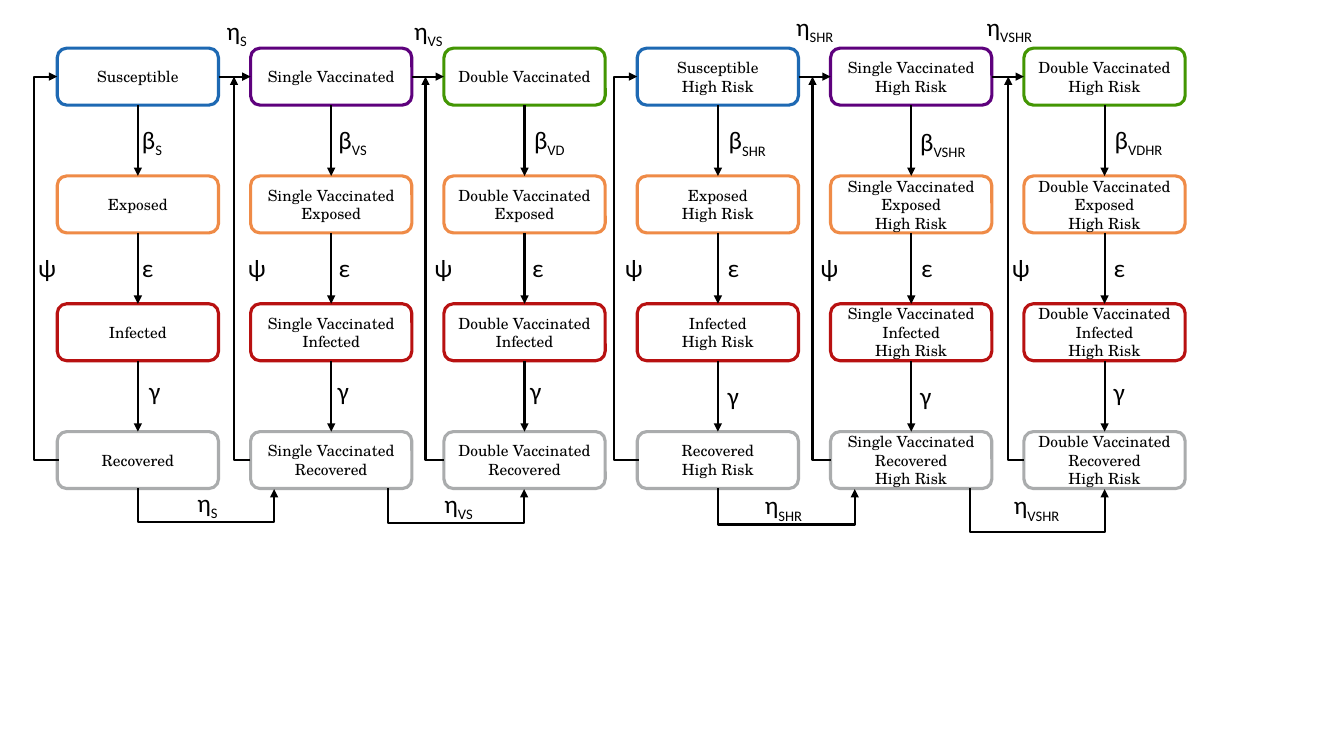
from lxml import etree
from pptx import Presentation
from pptx.dml.color import RGBColor
from pptx.enum import shapes, text
from pptx.oxml import ns
from pptx.util import Pt

BLACK = RGBColor(0x00, 0x00, 0x00)
BLUE = RGBColor(0x1E, 0x69, 0xB3)
PURPLE = RGBColor(0x5E, 0x01, 0x7D)
GREEN = RGBColor(0x43, 0x96, 0x03)
ORANGE = RGBColor(0xEF, 0x8B, 0x47)
RED = RGBColor(0xB8, 0x11, 0x11)
GRAY = RGBColor(0xAA, 0xAC, 0xAD)

LEFT, TOP = 40.9, 34.4
WIDE, HIGH = 115.2, 40.7
STEP, DROP = 138.1, 91.3


def write(para, words, font="Calibri", size=18, color=BLACK, sub=False):
    run = para.add_run()
    run.text = words
    run.font.name = font
    run.font.size = Pt(size)
    run.font.color.rgb = color
    if sub:
        run._r.get_or_add_rPr().set("baseline", "-25000")


class Chart:
    def __init__(self, slide, font="TeX Gyre Schola", size=11):
        self.items = slide.shapes
        self.font, self.size = font, size

    def box(self, x, y, lines, color):
        box = self.items.add_shape(
            shapes.MSO_SHAPE.ROUNDED_RECTANGLE, Pt(x), Pt(y), Pt(WIDE), Pt(HIGH))
        box.shadow.inherit = False
        box.fill.background()
        box.line.color.rgb = color
        box.line.width = Pt(2.25)
        frame = box.text_frame
        frame.word_wrap = True
        frame.vertical_anchor = text.MSO_ANCHOR.MIDDLE
        for i, line in enumerate(lines):
            para = frame.add_paragraph() if i else frame.paragraphs[0]
            para.alignment = text.PP_ALIGN.CENTER
            write(para, line, font=self.font, size=self.size)

    def label(self, x, y, sign, sub="", wide=22.3):
        frame = self.items.add_textbox(Pt(x), Pt(y), Pt(wide), Pt(29)).text_frame
        frame.word_wrap = True
        para = frame.paragraphs[0]
        write(para, sign)
        if sub:
            write(para, sub, sub=True)

    def arrow(self, x1, y1, x2, y2, kind=shapes.MSO_CONNECTOR.STRAIGHT):
        link = self.items.add_connector(kind, Pt(x1), Pt(y1), Pt(x2), Pt(y2))
        link.line.color.rgb = BLACK
        link.line.width = Pt(1.5)
        tip = etree.SubElement(link.line._get_or_add_ln(), ns.qn("a:tailEnd"))
        tip.set("type", "triangle")
        props = link.element.spPr
        etree.SubElement(props, ns.qn("a:effectLst"))
        return props

    def bend(self, x1, y1, x2, y2, ratio=None):
        props = self.arrow(x1, y1, x2, y2, shapes.MSO_CONNECTOR.ELBOW)
        shape = props.find(ns.qn("a:prstGeom"))
        if ratio is None:
            shape.set("prst", "bentConnector2")
        else:
            guide = etree.SubElement(shape.find(ns.qn("a:avLst")), ns.qn("a:gd"))
            guide.set("name", "adj1")
            guide.set("fmla", f"val {round(ratio * 100000)}")
        return props

    def under(self, x1, x2, y, depth):
        thin = 0.72
        mid, half = (x1 + x2) / 2, (x2 - x1) / 2
        props = self.bend(mid - thin / 2, y + half, mid + thin / 2, y - half,
                          depth / thin)
        props.find(ns.qn("a:xfrm")).set("rot", "5400000")


deck = Presentation()
deck.slide_width, deck.slide_height = Pt(960), Pt(540)
chart = Chart(deck.slides.add_slide(deck.slide_layouts[6]))

STATES = [("Susceptible", None), ("Exposed", ORANGE),
          ("Infected", RED), ("Recovered", GRAY)]
DOSES = [("", BLUE), ("Single Vaccinated", PURPLE), ("Double Vaccinated", GREEN)]
BETAS = [(94.3, 85, "S", 39), (234.7, 85, "VS", 47.5), (374.4, 85, "VD", 62.5),
         (513.4, 85.5, "SHR", 45.5), (650.2, 86.5, "VSHR", 77),
         (789.1, 85, "VDHR", 82)]
EPSILONS = [94.3, 234.7, 373, 512.6, 650.9, 788.4]
GAMMAS = [(99.4, 264.2), (234, 264.2), (371.5, 264.2),
          (512.6, 268.3), (650.2, 267.8), (788.4, 265)]
PSIS = [20.2, 169.9, 303.1, 439.2, 578.9, 715.7]
ETAS = [(154.8, 7.2, "S", 36.7), (288.7, 7.2, "VS", 44),
        (561.6, 4.3, "SHR", 66), (697.7, 4.3, "VSHR", 65),
        (133.9, 344.2, "S", 35.3), (310.3, 344.9, "VS", 36.7),
        (539.3, 346.3, "SHR", 46.8), (717.1, 346.3, "VSHR", 50.4)]
RISERS = {1: 167.2, 2: 304, 4: 580.4, 5: 720.2}
UNDERS = [(98.5, 195.8, 24.4), (277.2, 374.4, 25),
          (512.7, 610.6, 26.4), (692.6, 789.1, 32)]

ends = TOP + HIGH / 2
last = ends + 3 * DROP
for col in range(6):
    risk, dose = divmod(col, 3)
    x = LEFT + col * STEP
    mid = x + WIDE / 2
    name, hue = DOSES[dose]
    for row, (state, color) in enumerate(STATES):
        y = TOP + row * DROP
        parts = [name, "" if name and row == 0 else state,
                 "High Risk" if risk else ""]
        chart.box(x, y, [part for part in parts if part], color or hue)
        if row:
            chart.arrow(mid, y - DROP + HIGH, mid, y)
    if dose:
        chart.arrow(x - STEP + WIDE, ends, x, ends)
        chart.bend(x, last, RISERS[col], ends)
    else:
        chart.bend(x + 1, last, x, ends, 18)

    bx, by, sub, wide = BETAS[col]
    chart.label(bx, by, "β", sub, wide)
    chart.label(EPSILONS[col], 176.4, "ε")
    chart.label(*GAMMAS[col], "γ")
    chart.label(PSIS[col], 176.4, "ψ", wide=27.4 if dose else 22.3)

for x, y, sub, wide in ETAS:
    chart.label(x, y, "η", sub, wide)
for start, stop, depth in UNDERS:
    chart.under(start, stop, TOP + 3 * DROP + HIGH, depth)

deck.save("out.pptx")
